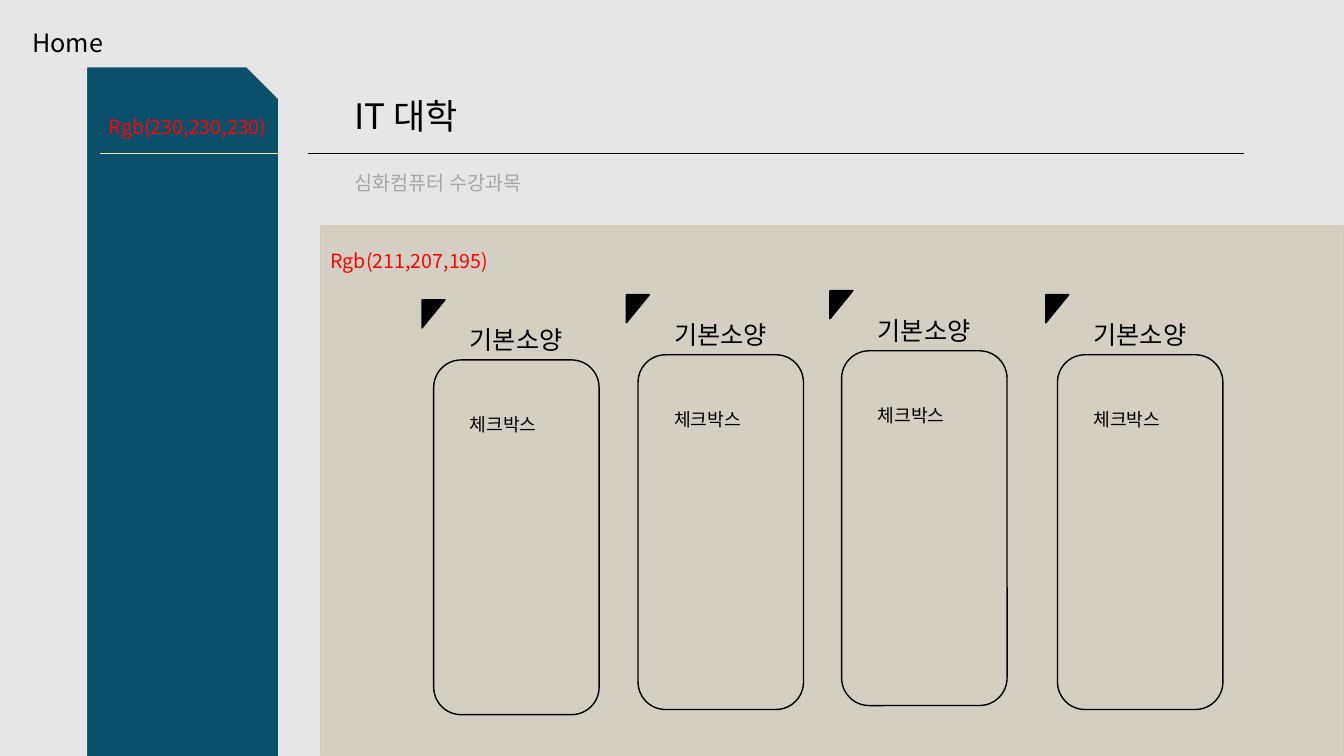
from pptx import Presentation
from pptx.dml.color import RGBColor
from pptx.enum.shapes import MSO_CONNECTOR, MSO_SHAPE as SHAPE
from pptx.enum.text import MSO_AUTO_SIZE
from pptx.oxml.ns import qn
from pptx.util import Cm, Pt
from lxml import etree

FONT = "Noto Sans CJK KR"
BLACK, RED, GREY = "000000", "FF0000", "A6A6A6"
PAGE, SAND, SAND_EDGE = "E6E6E6", "D3CFC3", "D3CEAD"
TEAL, CREAM = "0A506A", "FFE699"

PANELS = [
    (SHAPE.RECTANGLE, (8.08, 5.69, 25.79, 13.36), SAND, SAND_EDGE),
    (SHAPE.SNIP_1_RECTANGLE, (2.18, 1.68, 4.85, 17.45), TEAL, PAGE),
]
RULES = [(7.75, 31.34, BLACK), (2.51, 7.06, CREAM)]
RULE_TOP = 3.86
TEXTS = [
    ("심화컴퓨터 수강과목", (8.69, 4.19, 7.54, 0.86), 14, GREY),
    ("IT 대학", (8.69, 2.26, 8.79, 1.32), 25, BLACK),
    ("Rgb(230,230,230)", (2.49, 2.77, 4.75, 0.86), 14, RED),
    ("Rgb(211,207,195)", (8.08, 6.15, 4.83, 0.86), 14, RED),
    ("Home", (0.56, 0.56, 3.81, 1.02), 18, BLACK),
]
CARDS = [
    ("기본소양", "체크박스", 10.57, 7.62),
    ("기본소양", "체크박스", 15.72, 7.49),
    ("기본소양", "체크박스", 20.85, 7.39),
    ("기본소양", "체크박스", 26.29, 7.49),
]


def color(value):
    return RGBColor.from_string(value)


def add_panel(shapes, kind, box, fill, line):
    sp = shapes.add_shape(kind, *map(Cm, box))
    sp.shadow.inherit = False
    sp.fill.solid()
    sp.fill.fore_color.rgb = color(fill)
    sp.line.color.rgb = color(line)
    sp.line.width = Pt(1)
    return sp


def add_text(shapes, text, box, size, ink):
    tf = shapes.add_textbox(*map(Cm, box)).text_frame
    tf.word_wrap = True
    tf.auto_size = MSO_AUTO_SIZE.SHAPE_TO_FIT_TEXT
    tf.text = text
    r = tf.paragraphs[0].runs[0]
    r.font.size = Pt(size)
    r.font.name = FONT
    r.font.color.rgb = color(ink)
    etree.SubElement(r.font._element, qn("a:ea")).set("typeface", FONT)


def add_rule(shapes, left, right, ink):
    line = shapes.add_connector(MSO_CONNECTOR.STRAIGHT, Cm(left), Cm(RULE_TOP),
                                Cm(right), Cm(RULE_TOP))
    line.line.color.rgb = color(ink)
    line.line.width = Pt(0.5)
    etree.SubElement(line._element.spPr, qn("a:effectLst"))


def add_card(shapes, title, item, x, y):
    group = shapes.add_group_shape().shapes
    marker = add_panel(group, SHAPE.RIGHT_TRIANGLE, (x, y, 0.71, 0.58), BLACK, BLACK)
    marker.rotation = 90
    add_text(group, title, (x + 1.02, y + 0.43, 3.1, 1.02), 18, BLACK)
    add_panel(group, SHAPE.ROUNDED_RECTANGLE, (x + 0.36, y + 1.45, 4.17, 8.94), SAND, BLACK)
    add_text(group, item, (x + 1.02, y + 2.68, 3.1, 0.81), 13, BLACK)


def main():
    prs = Presentation()
    prs.slide_width, prs.slide_height = Cm(33.87), Cm(19.05)
    slide = prs.slides.add_slide(prs.slide_layouts[6])
    slide.background.fill.solid()
    slide.background.fill.fore_color.rgb = color(PAGE)
    for panel in PANELS:
        add_panel(slide.shapes, *panel)
    for rule in RULES:
        add_rule(slide.shapes, *rule)
    for text in TEXTS:
        add_text(slide.shapes, *text)
    for card in CARDS:
        add_card(slide.shapes, *card)
    prs.save("out.pptx")


if __name__ == "__main__":
    main()
